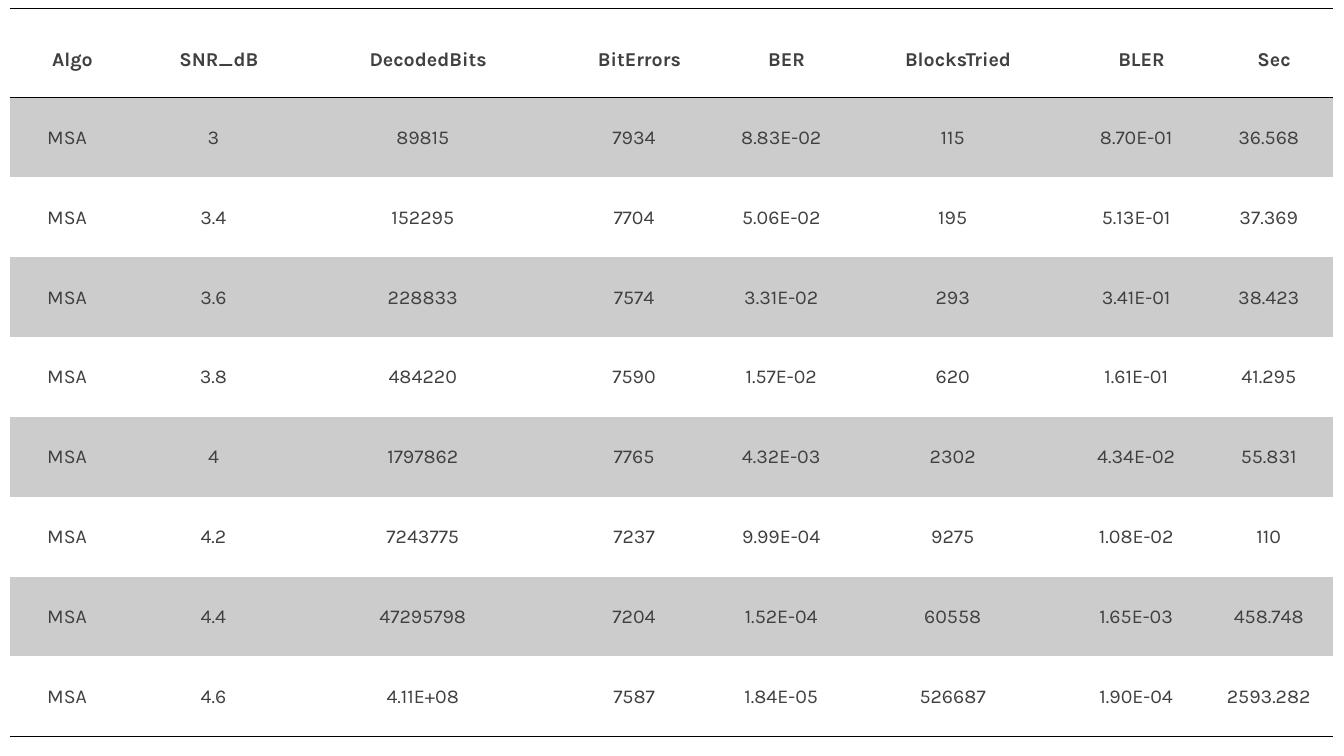
"""Build a slide with a table of decoder results by signal-to-noise ratio."""
from lxml.etree import SubElement
from pptx import Presentation
from pptx.dml.color import RGBColor
from pptx.enum.text import MSO_ANCHOR, PP_ALIGN
from pptx.oxml.ns import qn
from pptx.util import Cm, Pt

HEADERS = ["Algo", "SNR_dB", "DecodedBits", "BitErrors", "BER", "BlocksTried", "BLER", "Sec"]
RESULTS = [
    ("MSA", "3", "89815", "7934", "8.83E-02", "115", "8.70E-01", "36.568"),
    ("MSA", "3.4", "152295", "7704", "5.06E-02", "195", "5.13E-01", "37.369"),
    ("MSA", "3.6", "228833", "7574", "3.31E-02", "293", "3.41E-01", "38.423"),
    ("MSA", "3.8", "484220", "7590", "1.57E-02", "620", "1.61E-01", "41.295"),
    ("MSA", "4", "1797862", "7765", "4.32E-03", "2302", "4.34E-02", "55.831"),
    ("MSA", "4.2", "7243775", "7237", "9.99E-04", "9275", "1.08E-02", "110"),
    ("MSA", "4.4", "47295798", "7204", "1.52E-04", "60558", "1.65E-03", "458.748"),
    ("MSA", "4.6", "4.11E+08", "7587", "1.84E-05", "526687", "1.90E-04", "2593.282"),
]
COLUMN_WIDTHS = [2.88, 4.5, 6.05, 4.6, 2.82, 5.82, 3.43, 3.25]
TABLE_LEFT, TABLE_TOP, TABLE_HEIGHT, HEADER_HEIGHT = 0.25, 0.22, 18.34, 2.23
HEADER_MARGINS = (0.3, 0.08, 0.03, 0.66)
BODY_MARGINS = (0.03, 0.03, 0.03, 0)
FONT, TEXT_COLOR, LINE_COLOR, BAND_COLOR = "Karla", "404040", "000000", "CCCCCC"
NO_GRID_STYLE = "{2D5ABB26-0587-4C30-8999-92F81FD0307C}"


def color(value):
    return RGBColor.from_string(value)


def write(cell, text, bold=False, anchor=MSO_ANCHOR.MIDDLE, margins=BODY_MARGINS):
    cell.vertical_anchor = anchor
    cell.margin_left, cell.margin_top, cell.margin_right, cell.margin_bottom = map(Cm, margins)
    para = cell.text_frame.paragraphs[0]
    para.alignment = PP_ALIGN.CENTER
    span = para.add_run()
    span.text = text
    span.font.name, span.font.size, span.font.bold = FONT, Pt(14), bold
    span.font.color.rgb = color(TEXT_COLOR)


def add_border(cell, side):
    line = SubElement(cell._tc.get_or_add_tcPr(), qn(f"a:ln{side}"), w=str(Pt(1)))
    SubElement(SubElement(line, qn("a:solidFill")), qn("a:srgbClr"), val=LINE_COLOR)


def fill_band(cell):
    cell.fill.solid()
    cell.fill.fore_color.rgb = color(BAND_COLOR)


def add_results_table(page):
    rows = [HEADERS, *RESULTS]
    row_height = (TABLE_HEIGHT - HEADER_HEIGHT) / len(RESULTS)
    heights = [HEADER_HEIGHT] + [row_height] * len(RESULTS)
    table = page.shapes.add_table(
        len(rows), len(HEADERS), Cm(TABLE_LEFT), Cm(TABLE_TOP),
        Cm(sum(COLUMN_WIDTHS)), Cm(TABLE_HEIGHT)).table
    table.horz_banding = False
    table._tbl.tblPr.find(qn("a:tableStyleId")).text = NO_GRID_STYLE
    for column, width in zip(table.columns, COLUMN_WIDTHS):
        column.width = Cm(width)
    for row_index, (values, height) in enumerate(zip(rows, heights)):
        table.rows[row_index].height = Cm(height)
        is_header = row_index == 0
        borders = "TB" if is_header else "B" if row_index == len(RESULTS) else ""
        for column_index, text in enumerate(values):
            cell = table.cell(row_index, column_index)
            if is_header:
                write(cell, text, bold=True, anchor=MSO_ANCHOR.BOTTOM, margins=HEADER_MARGINS)
            else:
                write(cell, text)
            for side in borders:
                add_border(cell, side)
            if row_index % 2:
                fill_band(cell)
            else:
                cell.fill.background()


def main():
    deck = Presentation()
    deck.slide_width, deck.slide_height = Cm(33.87), Cm(19.05)
    page = deck.slides.add_slide(deck.slide_layouts[6])
    add_results_table(page)
    deck.save("out.pptx")


if __name__ == "__main__":
    main()
